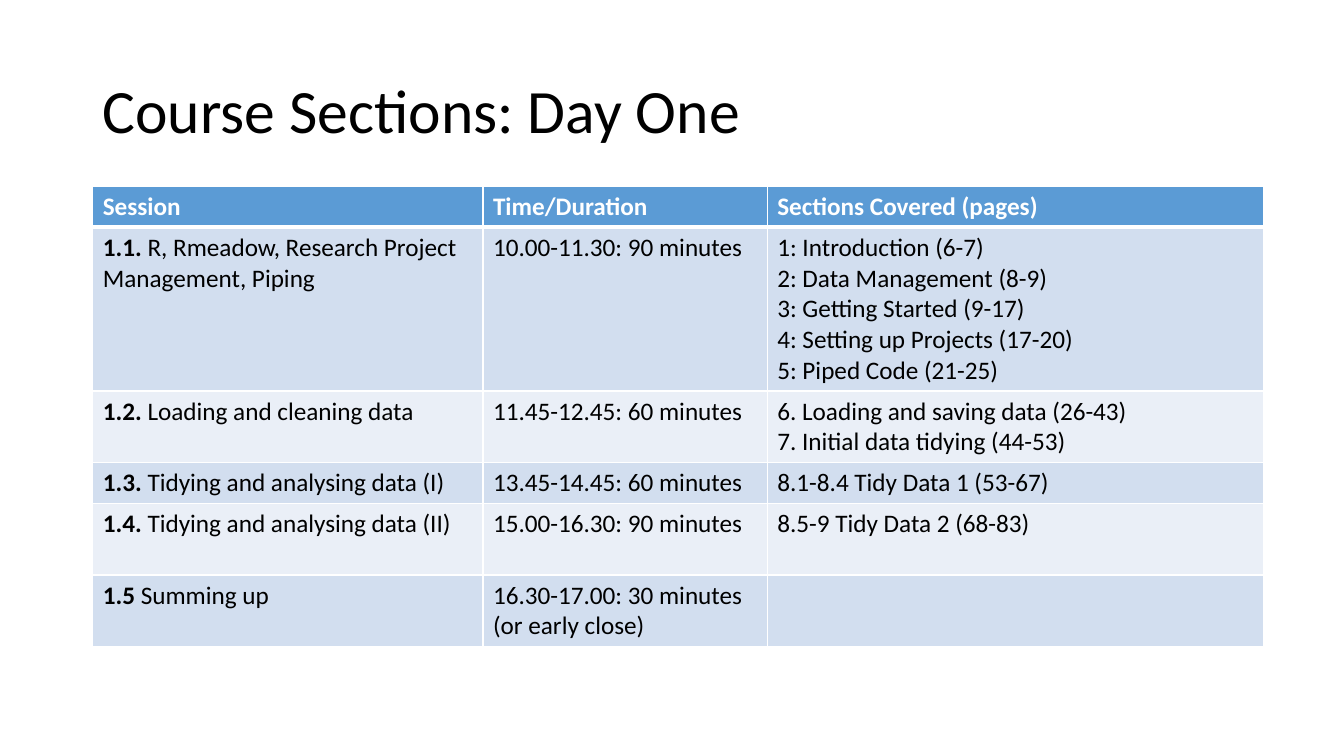
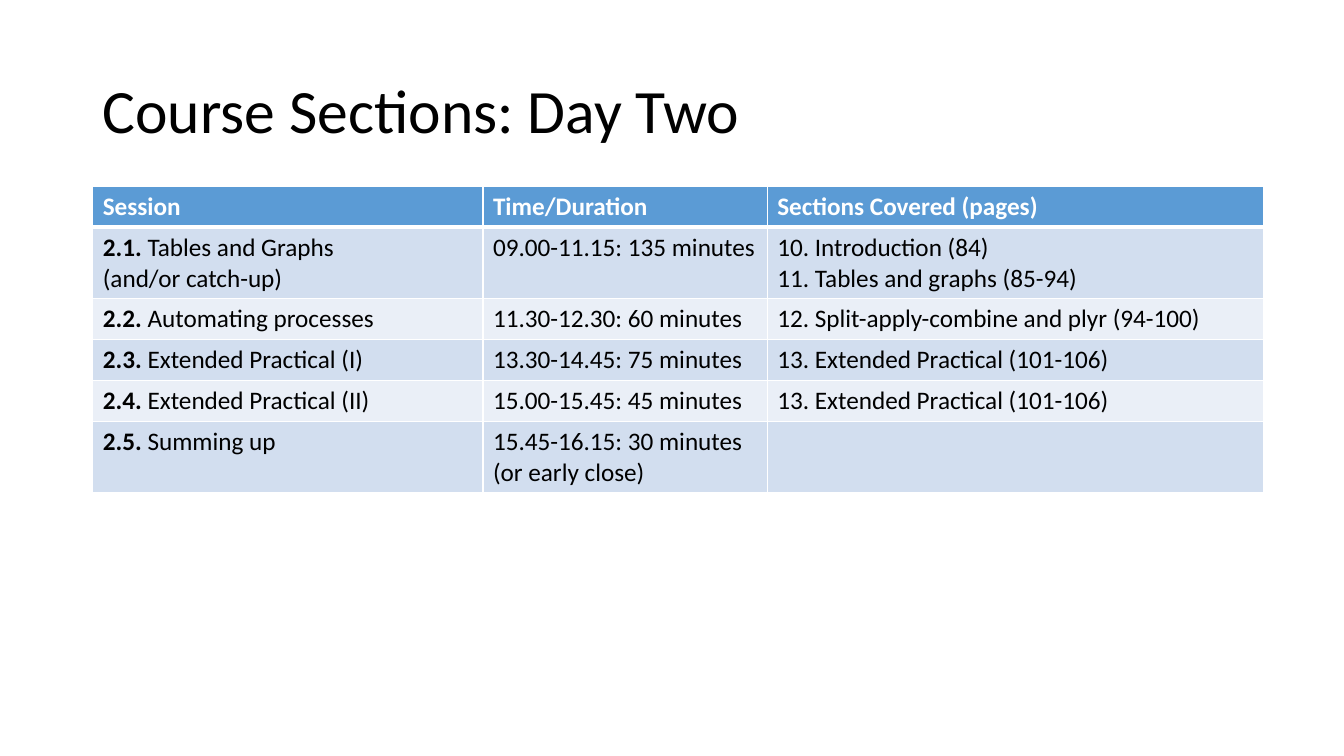
from lxml.etree import SubElement
from pptx import Presentation
from pptx.dml.color import RGBColor
from pptx.enum.text import MSO_ANCHOR as Anchor
from pptx.oxml.ns import qn
from pptx.util import Inches, Pt

FONT = "Calibri"
BLACK, WHITE = "000000", "FFFFFF"
HEADER_FILL = "5B9BD5"
BAND_FILLS = ("D2DEEF", "EAEFF7")
TITLE_BOX = (0.92, 0.4, 11.5, 1.45)
TABLE_LEFT, TABLE_TOP = 0.92, 1.85
COLUMN_WIDTHS = (3.87, 2.82, 4.92)
LINE_HEIGHT, CELL_PADDING = 0.305, 0.1
HEADINGS = ("Session", "Time/Duration", "Sections Covered (pages)")

# Each session: number, name, time, sections covered, height in text lines
DAYS = {
    "Course Sections: Day One": [
        ("1.1.", "R, Rmeadow, Research Project Management, Piping", "10.00-11.30: 90 minutes",
         "1: Introduction (6-7)\n2: Data Management (8-9)\n3: Getting Started (9-17)\n"
         "4: Setting up Projects (17-20)\n5: Piped Code (21-25)", 5),
        ("1.2.", "Loading and cleaning data", "11.45-12.45: 60 minutes",
         "6. Loading and saving data (26-43)\n7. Initial data tidying (44-53)", 2),
        ("1.3.", "Tidying and analysing data (I)", "13.45-14.45: 60 minutes",
         "8.1-8.4 Tidy Data 1 (53-67)", 1),
        ("1.4.", "Tidying and analysing data (II)", "15.00-16.30: 90 minutes",
         "8.5-9 Tidy Data 2 (68-83)", 2),
        ("1.5", "Summing up", "16.30-17.00: 30 minutes (or early close)", "", 2),
    ],
    "Course Sections: Day Two": [
        ("2.1.", "Tables and Graphs\n(and/or catch-up)", "09.00-11.15: 135 minutes",
         "10. Introduction (84)\n11. Tables and graphs (85-94)", 2),
        ("2.2.", "Automating processes", "11.30-12.30: 60 minutes",
         "12. Split-apply-combine and plyr (94-100)", 1),
        ("2.3.", "Extended Practical (I)", "13.30-14.45: 75 minutes",
         "13. Extended Practical (101-106)", 1),
        ("2.4.", "Extended Practical (II)", "15.00-15.45: 45 minutes",
         "13. Extended Practical (101-106)", 1),
        ("2.5.", "Summing up", "15.45-16.15: 30 minutes (or early close)", "", 2),
    ],
}


def color(hex_string):
    """Turn a hex string into a colour."""
    return RGBColor.from_string(hex_string)


def write_text(frame, text, lead="", size=18, fill=BLACK, bold=False, spacing=None):
    """Write one paragraph per line, after an optional bold lead."""
    frame.word_wrap = True
    for index, line in enumerate(text.split("\n")):
        paragraph = frame.add_paragraph() if index else frame.paragraphs[0]
        paragraph.font.size = Pt(size)
        if spacing:
            paragraph.line_spacing = spacing
        parts = [(line, bold)]
        if lead and index == 0:
            parts = [(lead, True), (" " + line, bold)]
        for words, is_bold in parts:
            if not words:
                continue
            run = paragraph.add_run()
            run.text = words
            run.font.name = FONT
            run.font.size = Pt(size)
            run.font.bold = is_bold
            run.font.color.rgb = color(fill)


def style_cell(cell, fill, top=1, bottom=1):
    """Give a cell its white borders and its fill."""
    properties = cell._tc.get_or_add_tcPr()
    for side, width in (("L", 1), ("R", 1), ("T", top), ("B", bottom)):
        line = SubElement(properties, qn(f"a:ln{side}"), w=str(Pt(width)))
        solid = SubElement(line, qn("a:solidFill"))
        SubElement(solid, qn("a:srgbClr"), val=WHITE)
    cell.fill.solid()
    cell.fill.fore_color.rgb = color(fill)


def add_title(slide, text, box):
    """Place the slide title, centred vertically in its box."""
    shape = slide.shapes.add_textbox(*map(Inches, box))
    shape.text_frame.vertical_anchor = Anchor.MIDDLE
    write_text(shape.text_frame, text, size=44, spacing=0.9)


def add_timetable(slide, sessions, left, top):
    """Place the banded timetable with its top left corner at the given point."""
    line_counts = [1] + [session[-1] for session in sessions]
    heights = [CELL_PADDING + LINE_HEIGHT * count for count in line_counts]
    table = slide.shapes.add_table(
        len(heights), len(HEADINGS), Inches(left), Inches(top),
        Inches(sum(COLUMN_WIDTHS)), Inches(sum(heights))).table
    table.horz_banding = False
    for column, width in zip(table.columns, COLUMN_WIDTHS):
        column.width = Inches(width)
    for row, height in zip(table.rows, heights):
        row.height = Inches(height)

    for cell, heading in zip(table.rows[0].cells, HEADINGS):
        style_cell(cell, HEADER_FILL, bottom=3)
        write_text(cell.text_frame, heading, fill=WHITE, bold=True)
    for index, (number, name, time, sections, _) in enumerate(sessions):
        cells = table.rows[index + 1].cells
        for cell, lead, text in zip(cells, (number, "", ""), (name, time, sections)):
            style_cell(cell, BAND_FILLS[index % 2], top=1 if index else 3)
            write_text(cell.text_frame, text, lead=lead)


def add_day_slide(presentation, title, sessions):
    """Add the slide for one course day."""
    slide = presentation.slides.add_slide(presentation.slide_layouts[6])
    add_title(slide, title, TITLE_BOX)
    add_timetable(slide, sessions, TABLE_LEFT, TABLE_TOP)


def main():
    """Build and save the presentation."""
    presentation = Presentation()
    presentation.slide_width = Inches(13.33)
    presentation.slide_height = Inches(7.5)
    for title, sessions in DAYS.items():
        add_day_slide(presentation, title, sessions)
    presentation.save("out.pptx")


main()
